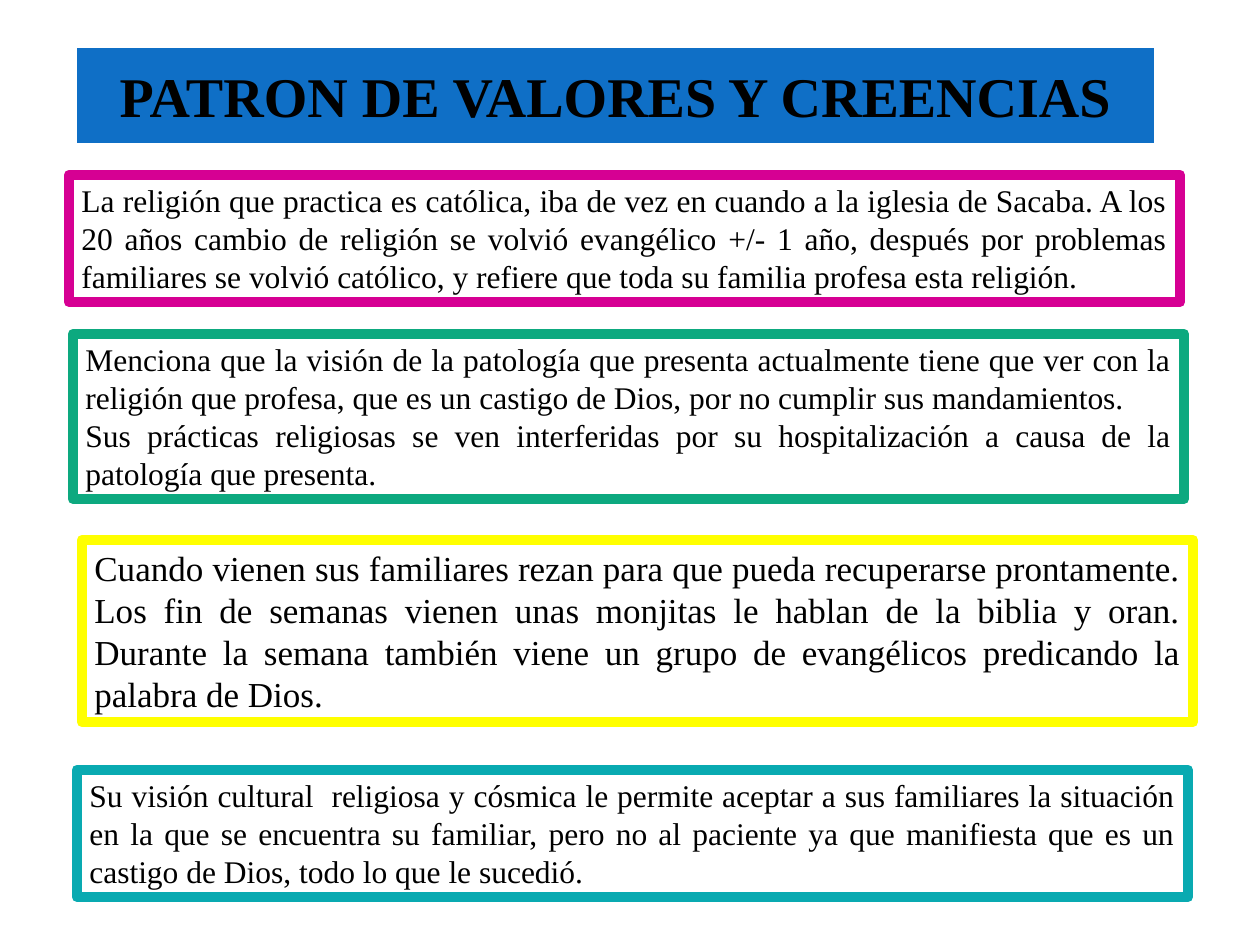
from pptx import Presentation
from pptx.dml.color import RGBColor
from pptx.enum.text import MSO_ANCHOR, MSO_AUTO_SIZE, PP_ALIGN
from pptx.util import Emu, Pt

EMU_PER_PX = 914400 / 126
COLORS = {
    "black": "000000",
    "white": "FFFFFF",
    "blue": "0F6FC6",
    "magenta": "D60093",
    "green": "0DA97F",
    "yellow": "FFFF00",
    "teal": "09AAB1",
}


def px(length):
    return Emu(round(length * EMU_PER_PX))


def write_panel(panel, paragraphs, *, box, fill, border, border_pt, size,
                bold=False, align=PP_ALIGN.JUSTIFY, anchor=MSO_ANCHOR.TOP,
                auto_size=MSO_AUTO_SIZE.SHAPE_TO_FIT_TEXT):
    """Place a bordered panel at box (left, top, width, height in px) and fill in its text."""
    panel.left, panel.top, panel.width, panel.height = map(px, box)
    panel.fill.solid()
    panel.fill.fore_color.rgb = RGBColor.from_string(COLORS[fill])
    panel.line.color.rgb = RGBColor.from_string(COLORS[border])
    panel.line.width = Pt(border_pt)
    frame = panel.text_frame
    frame.word_wrap = True
    frame.auto_size = auto_size
    frame.vertical_anchor = anchor
    frame.text = "\n".join(paragraphs)
    for paragraph in frame.paragraphs:
        paragraph.alignment = align
        for run in paragraph.runs:
            run.font.name = "Times New Roman"
            run.font.size = Pt(size)
            run.font.bold = bold
            run.font.color.rgb = RGBColor.from_string(COLORS["black"])


prs = Presentation()
prs.slide_width, prs.slide_height = px(1260), px(945)
slide = prs.slides.add_slide(prs.slide_layouts[5])

write_panel(slide.shapes.title, ["PATRON DE VALORES Y CREENCIAS"],
            box=(75, 46, 1081, 99), fill="blue", border="white", border_pt=2,
            size=32, bold=True, align=PP_ALIGN.CENTER,
            anchor=MSO_ANCHOR.MIDDLE, auto_size=MSO_AUTO_SIZE.NONE)

# left, top, height, border colour, text size, paragraphs
findings = [
    (69, 175, 127, "magenta", 18, [
        "La religión que practica es católica, iba de vez en cuando a la iglesia de "
        "Sacaba. A los 20 años cambio de religión se volvió evangélico +/- 1 año, "
        "después por problemas familiares se volvió católico, y refiere que toda su "
        "familia profesa esta religión."]),
    (73, 334, 165, "green", 18, [
        "Menciona que la visión de la patología que presenta actualmente tiene que ver "
        "con la religión que profesa, que es un castigo de Dios, por no cumplir sus "
        "mandamientos.",
        "Sus prácticas religiosas se ven interferidas por su hospitalización a causa de "
        "la patología que presenta."]),
    (82, 540, 182, "yellow", 20, [
        "Cuando vienen sus familiares rezan para que pueda recuperarse prontamente. Los "
        "fin de semanas vienen unas monjitas le hablan de la biblia y oran. Durante la "
        "semana también viene un grupo de evangélicos predicando la palabra de Dios."]),
    (77, 770, 127, "teal", 18, [
        "Su visión cultural  religiosa y cósmica le permite aceptar a sus familiares la "
        "situación en la que se encuentra su familiar, pero no al paciente ya que "
        "manifiesta que es un castigo de Dios, todo lo que le sucedió."]),
]
for left, top, height, border, size, paragraphs in findings:
    box = (left, top, 1111, height)
    write_panel(slide.shapes.add_textbox(*map(px, box)), paragraphs, box=box,
                fill="white", border=border, border_pt=6, size=size)

prs.save("out.pptx")
